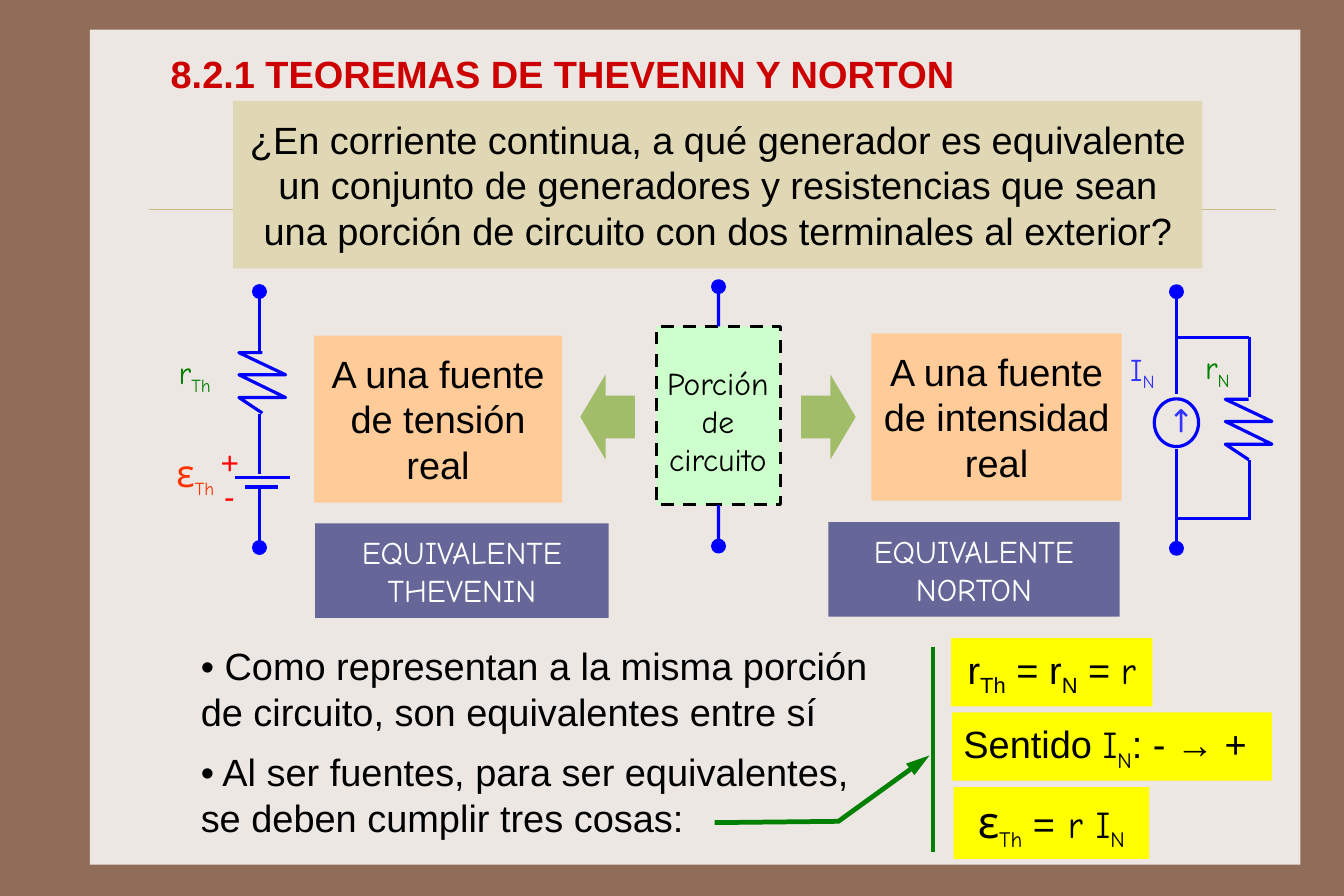
from dataclasses import dataclass

from lxml.etree import SubElement
from pptx import Presentation
from pptx.dml.color import RGBColor
from pptx.enum.dml import MSO_LINE
from pptx.enum.shapes import MSO_CONNECTOR, MSO_SHAPE
from pptx.enum.text import MSO_ANCHOR, MSO_AUTO_SIZE, PP_ALIGN
from pptx.oxml.ns import qn
from pptx.util import Pt


@dataclass(frozen=True)
class Theme:
    sans: str = "Arial"
    hand: str = "Comic Neue"
    body: int = 24
    label: int = 20
    epsilon: int = 28
    frame: str = "906D58"
    panel: str = "EDE7E3"
    rule: str = "CBBD83"
    title: str = "CC0000"
    question: str = "E0D7B5"
    source: str = "FFCC99"
    name: str = "666699"
    arrow: str = "A1BD69"
    portion: str = "CCFFCC"
    result: str = "FFFF00"
    wire: str = "0000FF"
    current: str = "3333FF"
    green: str = "008000"
    emf: str = "FF3300"
    sign: str = "FF0000"
    black: str = "000000"
    white: str = "FFFFFF"


T = Theme()
L, C = PP_ALIGN.LEFT, PP_ALIGN.CENTER
TOP, MID = MSO_ANCHOR.TOP, MSO_ANCHOR.MIDDLE


# A run is (text, font, size, subscript)
def sans(text, sub=False):
    return text, T.sans, T.body, sub


def hand(text, sub=False, size=T.label):
    return text, T.hand, size, sub


# Content; boxes are (left, top, width, height) in points
TITLE = "8.2.1 TEOREMAS DE THEVENIN Y NORTON"
# (runs, box, fill, text colour, align, anchor, vertical inset, wrap)
PANELS = [
    ([sans("¿En corriente continua, a qué generador es equivalente un conjunto de "
           "generadores y resistencias que sean una porción de circuito con dos "
           "terminales al exterior?")],
     (147.6, 64.1, 613.4, 105.8), T.question, T.black, C, TOP, 9.4, True),
    ([sans("A una fuente de tensión real")],
     (198.7, 212.4, 157, 105.8), T.source, T.black, C, TOP, 9.4, True),
    ([sans("A una fuente de intensidad real")],
     (551.5, 211, 158.4, 105.8), T.source, T.black, C, TOP, 9.4, True),
    ([hand("EQUIVALENTE THEVENIN")],
     (199.4, 331.2, 185.8, 59.8), T.name, T.white, C, MID, 5.8, True),
    ([hand("EQUIVALENTE NORTON")],
     (524.2, 330.5, 184.3, 59.8), T.name, T.white, C, MID, 5.8, True),
    ([sans("• Como representan a la misma porción de circuito, son equivalentes entre sí")],
     (120, 397.4, 440, 77), None, T.black, L, TOP, 9.4, True),
    ([sans("• Al ser fuentes, para ser equivalentes, se deben cumplir tres cosas:")],
     (120, 464.4, 440, 77), None, T.black, L, TOP, 9.4, True),
    ([sans("r"), sans("Th", True), sans(" = r"), sans("N", True), sans(" = "),
      hand("r", size=T.body)],
     (601.9, 403.9, 127.4, 43.2), T.result, T.black, C, MID, 7.2, False),
    ([sans("Sentido "), hand("I", size=T.body), hand("N", True, T.body), sans(": - → +")],
     (602.6, 450.9, 202.3, 43.2), T.result, T.black, L, MID, 7.2, False),
    ([hand("ε", size=T.epsilon), hand("Th", True, T.body), sans(" ="),
      hand(" r I", size=T.body), hand("N", True, T.body)],
     (603.4, 498.2, 123.8, 45.4), T.result, T.black, C, MID, 5.8, True),
]
# (runs, box, colour)
LABELS = [
    ([hand("r"), hand("Th", True)], (107.3, 220.3, 38.2, 30.2), T.green),
    ([hand("ε", size=T.body), hand("Th", True)], (105.8, 281.5, 37.4, 30.2), T.emf),
    ([("+", T.sans, T.label, False)], (133.9, 277.2, 22.8, 31.7), T.sign),
    ([("-", T.sans, T.label, False)], (136.1, 298.8, 18.6, 31.7), T.sign),
    ([hand("I"), hand("N", True)], (709.4, 218.2, 33.1, 30.2), T.current),
    ([hand("r"), hand("N", True)], (756.8, 217.4, 31.7, 30.2), T.green),
]
PORTION_TEXT = ["Porción", "de", "circuito"]
PORTION = (415.4, 206.6, 78.5, 113)
THEVENIN_X, NORTON_X, BRANCH_X, PORTION_X = 164.2, 744.5, 790.5, 454.7
# (x1, y1, x2, y2)
WIRES = [
    (THEVENIN_X, 184.5, THEVENIN_X, 222.5), (THEVENIN_X, 262, THEVENIN_X, 300.2),
    (THEVENIN_X, 306.7, THEVENIN_X, 345), (149, 302.4, 183.6, 302.4),
    (154.8, 308.2, 175.7, 308.2),
    (NORTON_X, 185.8, NORTON_X, 249.1), (NORTON_X, 284.4, NORTON_X, 347),
    (NORTON_X, 213.8, BRANCH_X, 213.8), (BRANCH_X, 213.1, BRANCH_X, 251.3),
    (BRANCH_X, 290.9, BRANCH_X, 329), (NORTON_X, 328.3, BRANCH_X, 328.3),
]
TERMINALS = [(THEVENIN_X, 184.5), (THEVENIN_X, 346.5), (NORTON_X, 184.6),
             (NORTON_X, 347), (PORTION_X, 181.4), (PORTION_X, 345.6)]
RESISTORS = [(151.2, 223.2), (775.4, 252.7)]
ZIGZAG = [(14.8, 38.2), (0, 28.4), (29.5, 28.4), (0, 14), (29.5, 14), (0, 0), (14.8, 0)]
ARROWS = [(MSO_SHAPE.LEFT_ARROW, 367.2), (MSO_SHAPE.RIGHT_ARROW, 506.9)]
POINTER = [(452.2, 520.6), (530.6, 519.8), (588.2, 478.1)]

prs = Presentation()
prs.slide_width, prs.slide_height = Pt(850.5), Pt(567)
slide = prs.slides.add_slide(prs.slide_layouts[5])
shapes = slide.shapes


def rgb(color):
    return RGBColor.from_string(color)


def style(sp, fill=None, line=None, width=2):
    sp.shadow.inherit = False
    if fill:
        sp.fill.solid()
        sp.fill.fore_color.rgb = rgb(fill)
    else:
        sp.fill.background()
    if line:
        sp.line.color.rgb = rgb(line)
        sp.line.width = Pt(width)
    else:
        sp.line.fill.background()
    return sp


def add_box(kind, box, fill=None, line=None):
    return style(shapes.add_shape(kind, *map(Pt, box)), fill, line)


def write(sp, paragraphs, color, align=L, anchor=TOP, inset=(5.8, 2.9), wrap=False):
    tf = sp.text_frame
    tf.word_wrap, tf.auto_size, tf.vertical_anchor = wrap, MSO_AUTO_SIZE.NONE, anchor
    tf.margin_left = tf.margin_right = Pt(inset[0])
    tf.margin_top = tf.margin_bottom = Pt(inset[1])
    for i, runs in enumerate(paragraphs):
        p = tf.add_paragraph() if i else tf.paragraphs[0]
        p.alignment = align
        for text, font, size, sub in runs:
            r = p.add_run()
            r.text = text
            r.font.name, r.font.size, r.font.color.rgb = font, Pt(size), rgb(color)
            if sub:
                r.font._element.set("baseline", "-25000")


def add_label(paragraphs, box, color, align=L):
    sp = shapes.add_textbox(*map(Pt, box))
    write(sp, paragraphs, color, align)
    return sp


def add_line(ends, color=T.wire, width=2):
    cx = shapes.add_connector(MSO_CONNECTOR.STRAIGHT, *map(Pt, ends))
    cx.line.color.rgb = rgb(color)
    cx.line.width = Pt(width)
    SubElement(cx._element.spPr, qn("a:effectLst"))
    return cx


def add_outline(points, color=T.wire, width=2):
    pts = [(Pt(x), Pt(y)) for x, y in points]
    fb = shapes.build_freeform(*pts[0])
    fb.add_line_segments(pts[1:], close=False)
    return style(fb.convert_to_shape(), line=color, width=width)


# Background, panel and rule
slide.background.fill.solid()
slide.background.fill.fore_color.rgb = rgb(T.frame)
add_box(MSO_SHAPE.RECTANGLE, (56.9, 18.7, 766.1, 528.5), T.panel)
add_line((94.3, 132.5, 807.8, 132.5), T.rule, 0.25)

# Title, brought in front of the panel
title = shapes.title
title.left, title.top, title.width, title.height = map(Pt, (100.1, 28.1, 689.8, 36.7))
write(title, [[sans(TITLE)]], T.title, L, MID, (7.9, 3.6))
title.text_frame.paragraphs[0].runs[0].font.bold = True
shapes._spTree.append(title._element)

# Text panels and arrows between them
for runs, box, fill, color, align, anchor, inset, wrap in PANELS:
    sp = add_box(MSO_SHAPE.RECTANGLE, box, fill) if fill else shapes.add_textbox(*map(Pt, box))
    write(sp, [runs], color, align, anchor, (7.2 if fill != T.name else 5.8, inset), wrap)
for kind, left in ARROWS:
    arrow = add_box(kind, (left, 236.9, 34.6, 54), T.arrow)
    arrow.adjustments[0], arrow.adjustments[1] = 0.5, 0.464

# Circuit portion with its two terminals
portion = add_box(MSO_SHAPE.RECTANGLE, PORTION, T.portion, T.black)
portion.line.dash_style = MSO_LINE.DASH
for site, y1, y2 in [(0, 206.6, 181.4), (2, 319.6, 345.6)]:
    add_line((PORTION_X, y1, PORTION_X, y2)).begin_connect(portion, site)
add_label([[hand(t)] for t in PORTION_TEXT], (416.2, 227.5, 76.3, 71.3), T.black, C)

# Thevenin and Norton circuits
for ends in WIRES:
    add_line(ends)
for x, y in RESISTORS:
    add_outline([(x + dx, y + dy) for dx, dy in ZIGZAG])
for x, y in TERMINALS:
    add_box(MSO_SHAPE.OVAL, (x - 3.7, y - 3.7, 7.4, 7.4), T.wire, T.wire)
add_box(MSO_SHAPE.OVAL, (NORTON_X - 14, 252.4, 28, 30.2), line=T.wire)
add_label([[hand("→")]], (730.8, 252.7, 28.1, 28.1), T.current).rotation = 270
for runs, box, color in LABELS:
    add_label([runs], box, color)

# Pointer to the three conditions
add_line((590.4, 409.7, 590.4, 539.3), T.green, 3)
pointer = add_outline(POINTER, T.green, 3)
SubElement(pointer.line._get_or_add_ln(), qn("a:tailEnd"), type="triangle", len="lg")

prs.save("out.pptx")
